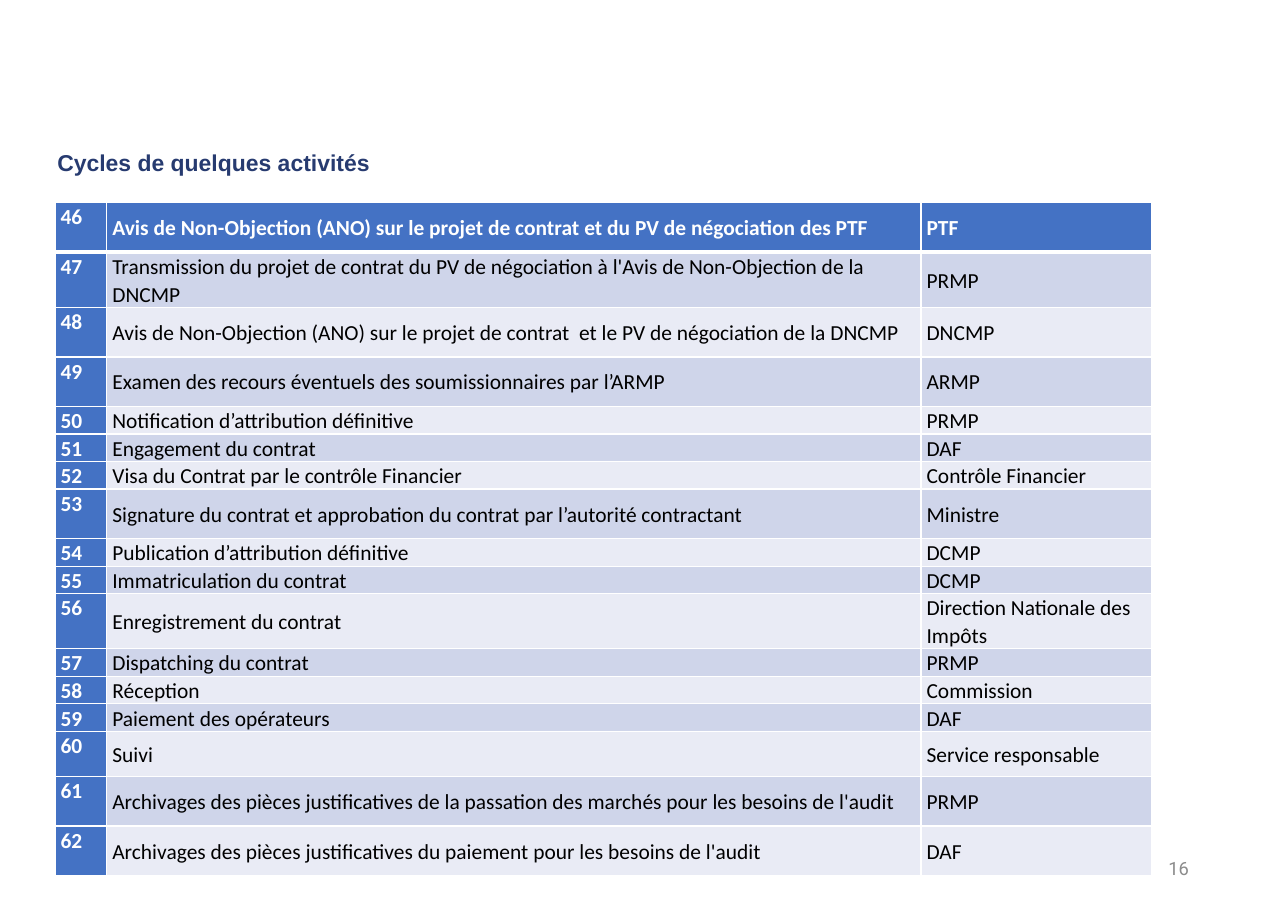
from lxml.etree import SubElement
from pptx import Presentation
from pptx.dml.color import RGBColor
from pptx.enum.text import MSO_ANCHOR, PP_ALIGN
from pptx.oxml.ns import qn
from pptx.util import Pt

NAVY = RGBColor(0x27, 0x3B, 0x70)
BLUE = RGBColor(0x44, 0x72, 0xC4)
DARK_BAND = RGBColor(0xCF, 0xD5, 0xEA)
LIGHT_BAND = RGBColor(0xE9, 0xEB, 0xF5)
GRAY = RGBColor(0x8C, 0x8C, 0x8C)
WHITE = RGBColor(0xFF, 0xFF, 0xFF)
BLACK = RGBColor(0x00, 0x00, 0x00)

FIRST_NUMBER = 46
COLUMN_WIDTHS = (33.84, 532.08, 150.48)
TALL, SHORT = 32.4, 16.56

# Row height, activity, body in charge
ACTIVITIES = [
    (TALL, "Avis de Non-Objection (ANO) sur le projet de contrat et du PV de négociation des PTF", "PTF"),
    (TALL, "Transmission du projet de contrat du PV de négociation à l'Avis de Non-Objection de la DNCMP", "PRMP"),
    (TALL, "Avis de Non-Objection (ANO) sur le projet de contrat  et le PV de négociation de la DNCMP", "DNCMP"),
    (TALL, "Examen des recours éventuels des soumissionnaires par l’ARMP", "ARMP"),
    (SHORT, "Notification d’attribution définitive", "PRMP"),
    (SHORT, "Engagement du contrat", "DAF"),
    (SHORT, "Visa du Contrat par le contrôle Financier", "Contrôle Financier"),
    (TALL, "Signature du contrat et approbation du contrat par l’autorité contractant", "Ministre"),
    (SHORT, "Publication d’attribution définitive", "DCMP"),
    (SHORT, "Immatriculation du contrat", "DCMP"),
    (30.24, "Enregistrement du contrat", "Direction Nationale des Impôts"),
    (SHORT, "Dispatching du contrat", "PRMP"),
    (SHORT, "Réception", "Commission"),
    (SHORT, "Paiement des opérateurs", "DAF"),
    (29.52, "Suivi", "Service responsable"),
    (TALL, "Archivages des pièces justificatives de la passation des marchés pour les besoins de l'audit", "PRMP"),
    (TALL, "Archivages des pièces justificatives du paiement pour les besoins de l'audit", "DAF"),
]


def write(frame, text, *, font, size, color, bold=False,
          align=PP_ALIGN.LEFT, spacing=1.0, anchor=MSO_ANCHOR.TOP):
    frame.word_wrap = True
    frame.vertical_anchor = anchor
    para = frame.paragraphs[0]
    para.alignment = align
    para.line_spacing = spacing
    span = para.add_run()
    span.text = text
    span.font.name = font
    span.font.size = Pt(size)
    span.font.bold = bold
    span.font.color.rgb = color


def add_title(page, text):
    title = page.shapes.title
    title.left, title.top = Pt(30.24), Pt(95.76)
    title.width, title.height = Pt(354.96), Pt(24.48)
    write(title.text_frame, text, font="Arial", size=15, color=NAVY,
          bold=True, spacing=0.9)


def add_page_number(page, number):
    box = page.shapes.add_textbox(Pt(594.72), Pt(551.52), Pt(189.36), Pt(31.68))
    write(box.text_frame, str(number), font="Roboto", size=12, color=GRAY,
          align=PP_ALIGN.RIGHT, anchor=MSO_ANCHOR.MIDDLE)


def set_borders(cell, **widths):
    properties = cell._tc.get_or_add_tcPr()
    for side in "LRTB":
        line = SubElement(properties, qn(f"a:ln{side}"), w=str(Pt(widths.get(side, 1))))
        fill = SubElement(line, qn("a:solidFill"))
        SubElement(fill, qn("a:srgbClr"), val=str(WHITE))


def format_cell(cell, text, row, column):
    heading = row == 0 or column == 0
    set_borders(cell, T=3 if row == 1 else 1, B=3 if row == 0 else 1)
    cell.fill.solid()
    band = DARK_BAND if row % 2 else LIGHT_BAND
    cell.fill.fore_color.rgb = BLUE if heading else band
    cell.margin_left = cell.margin_right = Pt(3.6)
    cell.margin_top = cell.margin_bottom = Pt(0)
    write(cell.text_frame, text, font="Calibri", size=14, bold=heading,
          color=WHITE if heading else BLACK, spacing=1.07)
    cell.vertical_anchor = MSO_ANCHOR.MIDDLE if column else MSO_ANCHOR.TOP


def add_activity_table(page):
    height = sum(activity[0] for activity in ACTIVITIES)
    frame = page.shapes.add_table(len(ACTIVITIES), len(COLUMN_WIDTHS), Pt(36), Pt(132.48),
                                  Pt(sum(COLUMN_WIDTHS)), Pt(height))
    table = frame.table
    table.first_col = True
    for column, width in zip(table.columns, COLUMN_WIDTHS):
        column.width = Pt(width)
    for row, (row_height, activity, owner) in enumerate(ACTIVITIES):
        table.rows[row].height = Pt(row_height)
        for column, text in enumerate((str(FIRST_NUMBER + row), activity, owner)):
            format_cell(table.cell(row, column), text, row, column)


def main():
    deck = Presentation()
    deck.slide_width, deck.slide_height = Pt(841.68), Pt(595.44)
    page = deck.slides.add_slide(deck.slide_layouts[5])
    add_page_number(page, 16)
    add_title(page, "Cycles de quelques activités")
    add_activity_table(page)
    deck.save("out.pptx")


if __name__ == "__main__":
    main()
